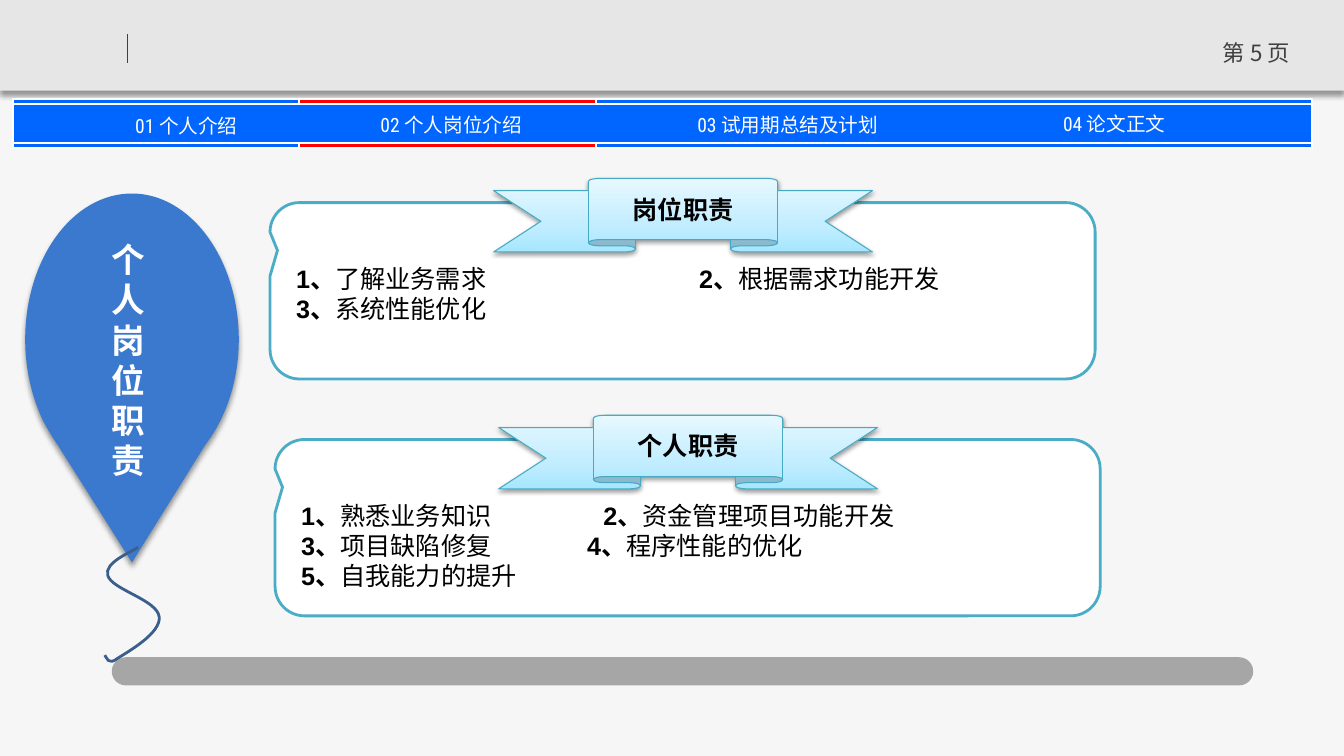
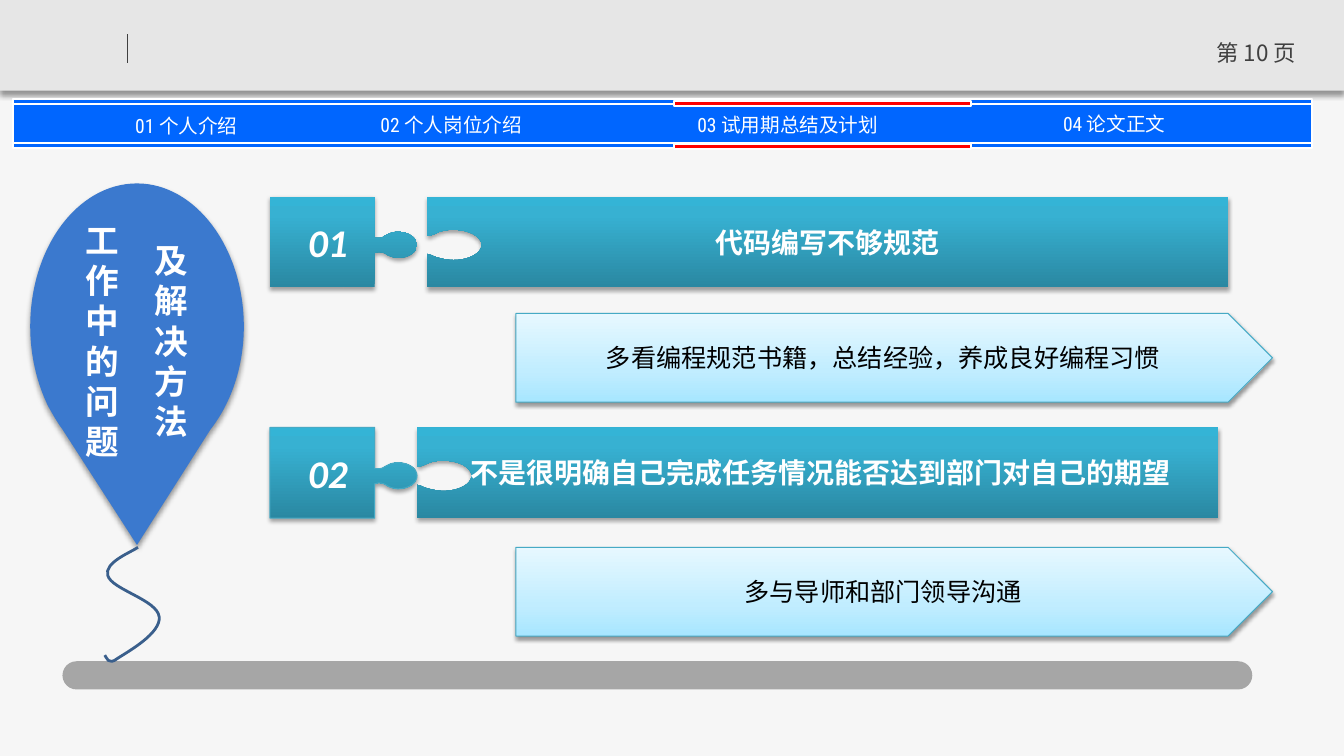
from copy import deepcopy

from lxml import etree
from pptx import Presentation
from pptx.dml.color import RGBColor
from pptx.enum import shapes, text
from pptx.oxml.ns import qn
from pptx.util import Inches, Pt


class Theme:
    page = "F6F6F6"
    header = "E6E6E6"
    ink = "404040"
    white = "FFFFFF"
    black = "000000"
    nav = "0066FF"
    marker = "FF0000"
    ground = "A6A6A6"
    balloon = "3B79CE"
    string = "3A5F8C"
    frame = "4BACC6"
    edge = "46AAC5"
    pale = [(0, "A7E6FF"), (0.35, "C1EDFF"), (1, "E7F8FF")]
    teal = [(0, "2A88A2"), (0.8, "37B1D2"), (1, "34B4D6")]
    soft_shadow = (40, 4, 3)
    pale_shadow = (38, 3.1, 1.6)
    teal_shadow = (35, 3.1, 1.8)
    cjk = "Noto Sans CJK SC"
    label = "Arial"
    page_number = (16, cjk, ink, False)
    nav_item = (14, "Roboto Condensed", white, False)
    balloon_title = (24, cjk, white, True)
    ribbon_title = (18, cjk, black, True)
    duty = (18, cjk, black, False)
    step = (28, "Calibri", white, True)
    problem = (20, "Calibri", white, True)
    remedy = (18, "Calibri", black, False)


def paint(shape, fill=None, line=None, weight=0.75, shadow=None):
    shape.shadow.inherit = False
    if fill is None:
        shape.fill.background()
    elif isinstance(fill, str):
        shape.fill.solid()
        shape.fill.fore_color.rgb = RGBColor.from_string(fill)
    else:
        shape.fill.gradient()
        shape.fill.gradient_angle = 90
        stop_list = shape._element.spPr.find(".//" + qn("a:gsLst"))
        stop_list.append(deepcopy(stop_list[0]))
        for stop, (position, color) in zip(shape.fill.gradient_stops, fill):
            stop.position = position
            stop.color.rgb = RGBColor.from_string(color)
    if line:
        shape.line.color.rgb = RGBColor.from_string(line)
        shape.line.width = Pt(weight)
    else:
        shape.line.fill.background()
    if shadow:
        alpha, blur, distance = shadow
        effects = shape._element.spPr.find(qn("a:effectLst"))
        outer = etree.SubElement(
            effects, qn("a:outerShdw"), blurRad=str(Pt(blur)), dist=str(Pt(distance)),
            dir="5400000", algn="ctr", rotWithShape="0")
        color = etree.SubElement(outer, qn("a:srgbClr"), val=Theme.black)
        etree.SubElement(color, qn("a:alpha"), val=str(alpha * 1000))


def write(shape, lines, style, insets=(0.1, 0.05, 0.1, 0.05),
          anchor=text.MSO_ANCHOR.MIDDLE, align=text.PP_ALIGN.CENTER):
    size, face, color, bold = style
    frame = shape.text_frame
    frame.word_wrap = True
    frame.vertical_anchor = anchor
    frame.margin_left, frame.margin_top, frame.margin_right, frame.margin_bottom = map(Inches, insets)
    for index, line in enumerate(lines):
        paragraph = frame.add_paragraph() if index else frame.paragraphs[0]
        paragraph.text = line
        paragraph.alignment = align
        paragraph.font.size = Pt(size)
        paragraph.font.name = face
        paragraph.font.bold = bold
        paragraph.font.color.rgb = RGBColor.from_string(color)
        defaults = paragraph._p.pPr.find(qn("a:defRPr"))
        defaults.find(qn("a:latin")).addnext(
            etree.Element(qn("a:ea"), typeface=Theme.cjk))
    return frame


balloon_path = [
    (1.06, 0), (1.64, 0, 2.12, 0.65, 2.12, 1.45), (2.12, 1.86, 1.99, 2.23, 1.79, 2.49),
    (1.06, 3.66), (0.32, 2.49), (0.27, 2.42, 0.23, 2.35, 0.18, 2.26),
    (0.07, 2.03, 0, 1.75, 0, 1.45), (0, 0.65, 0.47, 0, 1.06, 0)]
string_path = [
    (0.33, 0), (0.26, 0.05, -0.01, 0.15, 0.03, 0.28), (0.07, 0.42, 0.52, 0.52, 0.54, 0.69),
    (0.56, 0.85, 0.24, 1.03, 0.13, 1.1), (0.03, 1.18, 0.02, 1.09, 0, 1.07)]
plug_path = [
    (1.27, 0.35), (1.23, 0.35, 1.19, 0.36, 1.16, 0.38), (1.15, 0.39, 1.15, 0.39, 1.14, 0.39),
    (1.13, 0.4, 1.11, 0.41, 1.09, 0.41), (1.04, 0.41), (1.04, 0), (0, 0), (0, 0.9),
    (1.04, 0.9), (1.04, 0.56), (1.06, 0.55, 1.06, 0.55, 1.08, 0.55),
    (1.11, 0.55, 1.14, 0.56, 1.15, 0.57), (1.16, 0.58, 1.22, 0.61, 1.27, 0.61),
    (1.38, 0.61, 1.46, 0.55, 1.46, 0.48), (1.46, 0.41, 1.38, 0.35, 1.27, 0.35)]
socket_path = [
    (0, 0), (7.95, 0), (7.95, 0.9), (0, 0.9), (0, 0.57), (0.03, 0.58, 0.05, 0.58, 0.06, 0.59),
    (0.08, 0.6, 0.18, 0.63, 0.26, 0.63), (0.42, 0.63, 0.54, 0.56, 0.54, 0.48),
    (0.54, 0.4, 0.42, 0.33, 0.26, 0.33), (0.19, 0.33, 0.13, 0.34, 0.08, 0.37),
    (0.07, 0.37, 0.06, 0.37, 0.05, 0.38), (0.04, 0.39, 0.02, 0.39, 0, 0.39)]

string_outline = (string_path, 1.04, 5.43, 1, (None, Theme.string, 2), None)
balloon_look = (Theme.balloon, None, 0, Theme.soft_shadow)
teal_look = (Theme.teal, None, 0, Theme.teal_shadow)
edged_teal_look = (Theme.teal, Theme.edge, 0.75, Theme.teal_shadow)
plug_insets = (0, 0.05, 0.31, 0.05)
socket_insets = (0.29, 0.05, 0.29, 0.05)

pages = [
    {
        "number": 5,
        "marker": (2.97, (1.42, 0.98)),
        "ground": (1.11, 6.52, 11.33),
        "dots": [],
        "outlines": [(balloon_path, 0.25, 1.92, 1, balloon_look, None), string_outline],
        "titles": [(0.95, 2.32, 0.64, 2.53, ["个人岗位", "职责"])],
        "duties": [
            ("岗位职责", [(4, ["了解业务需求", "根据需求功能开发"]), (4, ["系统性能优化"])]),
            ("个人职责", [(3, ["熟悉业务知识", "资金管理项目功能开发"]),
                      (2.84, ["项目缺陷修复", "程序性能的优化"]), (3, ["自我能力的提升"])]),
        ],
        "remedies": [],
    },
    {
        "number": 10,
        "marker": (6.69, (1.43, 1)),
        "ground": (0.62, 6.56, 11.81),
        "dots": [(2.47, 4.92)],
        "outlines": [
            (balloon_path, 0.3, 1.82, 0.98, balloon_look, None),
            string_outline,
            (plug_path, 2.68, 1.95, 1, teal_look, ("01", Theme.step, plug_insets)),
            (plug_path, 2.68, 4.24, 1, edged_teal_look, ("02", Theme.step, plug_insets)),
            (socket_path, 4.24, 1.95, 1, teal_look, ("代码编写不够规范", Theme.problem, socket_insets)),
            (socket_path, 4.14, 4.24, 1, teal_look,
             (" 不是很明确自己完成任务情况能否达到部门对自己的期望", Theme.problem, socket_insets)),
        ],
        "titles": [(0.62, 2.13, 0.8, 2.53, ["工作中的问题"]), (1.3, 2.33, 0.8, 2.13, ["及解决方法"])],
        "duties": [],
        "remedies": [(3.11, "多看编程规范书籍，总结经验，养成良好编程习惯"), (5.43, "多与导师和部门领导沟通")],
    },
]
nav_items = [(0.61, 1.13, "01 个人介绍"), (3.24, 1.12, "02 个人岗位介绍"),
             (6.58, 1.12, "03 试用期总结及计划"), (9.82, 1.11, "04 论文正文")]

deck = Presentation()
deck.slide_width, deck.slide_height = Inches(13.34), Inches(7.5)
preset = shapes.MSO_SHAPE

for page in pages:
    slide = deck.slides.add_slide(deck.slide_layouts[6])
    slide.background.fill.solid()
    slide.background.fill.fore_color.rgb = RGBColor.from_string(Theme.page)
    canvas = slide.shapes

    header = canvas.add_shape(preset.RECTANGLE, 0, 0, deck.slide_width, Inches(0.9))
    paint(header, Theme.header, shadow=Theme.soft_shadow)
    divider = canvas.add_connector(shapes.MSO_CONNECTOR.STRAIGHT, Inches(1.27), Inches(0.34),
                                   Inches(1.27), Inches(0.63))
    divider.line.color.rgb = RGBColor.from_string(Theme.ink)
    divider.line.width = Pt(0.75)
    etree.SubElement(divider._element.spPr, qn("a:effectLst"))
    page_label = canvas.add_textbox(Inches(11.87), Inches(0.34), Inches(1.2), Inches(0.4))
    write(page_label, [f"第 {page['number']} 页"], Theme.page_number, anchor=text.MSO_ANCHOR.TOP)

    marker_left, marker_tops = page["marker"]
    bands = [(0.13, top, 12.89, height, Theme.nav)
             for top, height in ((1.03, 0.43), (1.42, 0.05), (0.98, 0.05))]
    bands += [(marker_left, top, 2.95, 0.05, Theme.marker) for top in marker_tops]
    for left, top, width, height, color in bands:
        band = canvas.add_shape(preset.RECTANGLE, Inches(left), Inches(top), Inches(width), Inches(height))
        paint(band, color, Theme.white, 1.5)
    for left, top, caption in nav_items:
        nav_item = canvas.add_textbox(Inches(left), Inches(top), Inches(2.48), Inches(0.24))
        write(nav_item, [caption], Theme.nav_item, (0, 0, 0, 0))

    left, top, width = page["ground"]
    ground = canvas.add_shape(preset.ROUNDED_RECTANGLE, Inches(left), Inches(top), Inches(width), Inches(0.28))
    ground.adjustments[0] = 0.5
    paint(ground, Theme.ground)
    for left, top in page["dots"]:
        dot = canvas.add_shape(preset.OVAL, Inches(left), Inches(top), Inches(0.22), Inches(0.22))
        paint(dot, Theme.page)

    for segments, left, top, stretch, look, caption in page["outlines"]:
        corners = [(Inches(segment[-2]), Inches(segment[-1] * stretch)) for segment in segments]
        builder = canvas.build_freeform(*corners[0])
        builder.add_line_segments(corners[1:], close=look[0] is not None)
        outline = builder.convert_to_shape(Inches(left), Inches(top))
        straight_parts = outline._element.spPr.findall(".//" + qn("a:lnTo"))
        for part, segment in zip(straight_parts, segments[1:]):
            if len(segment) == 6:
                curve = etree.Element(qn("a:cubicBezTo"))
                for x, y in zip(segment[::2], segment[1::2]):
                    etree.SubElement(curve, qn("a:pt"), x=str(Inches(x)), y=str(Inches(y * stretch)))
                part.getparent().replace(part, curve)
        paint(outline, *look)
        if caption:
            words, style, insets = caption
            frame = write(outline, [words], style, insets)
            frame.paragraphs[0].font.italic = style is Theme.step

    for left, top, width, height, lines in page["titles"]:
        balloon_title = canvas.add_textbox(Inches(left), Inches(top), Inches(width), Inches(height))
        write(balloon_title, lines, Theme.balloon_title, anchor=text.MSO_ANCHOR.TOP)

    for index, (heading, rows) in enumerate(page["duties"]):
        dx, dy = 0.05 * index, 2.35 * index
        callout = canvas.add_shape(preset.ROUNDED_RECTANGULAR_CALLOUT, Inches(5.9 + dx), Inches(-1.21 + dy),
                                   Inches(1.75), Inches(8.19))
        callout.rotation = 90
        for position, value in enumerate((-0.229, 0.491, 0.167)):
            callout.adjustments[position] = value
        paint(callout, Theme.white, Theme.frame, 2)

        duties = canvas.add_textbox(Inches(2.84 + dx), Inches(2.56 + dy), Inches(7.22),
                                    Inches(0.1 + 0.3 * len(rows)))
        frame = write(duties, [""] * len(rows), Theme.duty, anchor=text.MSO_ANCHOR.TOP,
                      align=text.PP_ALIGN.LEFT)
        number = 0
        for paragraph, (tab_stop, items) in zip(frame.paragraphs, rows):
            tabs = etree.Element(qn("a:tabLst"))
            etree.SubElement(tabs, qn("a:tab"), pos=str(Inches(tab_stop)), algn="l")
            paragraph._p.pPr.insert(0, tabs)
            for column, item in enumerate(items):
                number += 1
                label = paragraph.add_run()
                label.text = "\t" * column + f"{number}、"
                label.font.name = Theme.label
                label.font.bold = True
                paragraph.add_run().text = item

        ribbon = canvas.add_shape(preset.UP_RIBBON, Inches(4.9 + dx), Inches(1.77 + dy),
                                  Inches(3.76), Inches(0.73))
        paint(ribbon, Theme.pale, Theme.edge, shadow=Theme.pale_shadow)
        write(ribbon, [heading], Theme.ribbon_title)

    for top, advice in page["remedies"]:
        remedy = canvas.add_shape(preset.PENTAGON, Inches(5.12), Inches(top), Inches(7.51), Inches(0.88))
        paint(remedy, Theme.pale, Theme.edge, shadow=Theme.pale_shadow)
        write(remedy, [advice], Theme.remedy)

deck.save("out.pptx")
